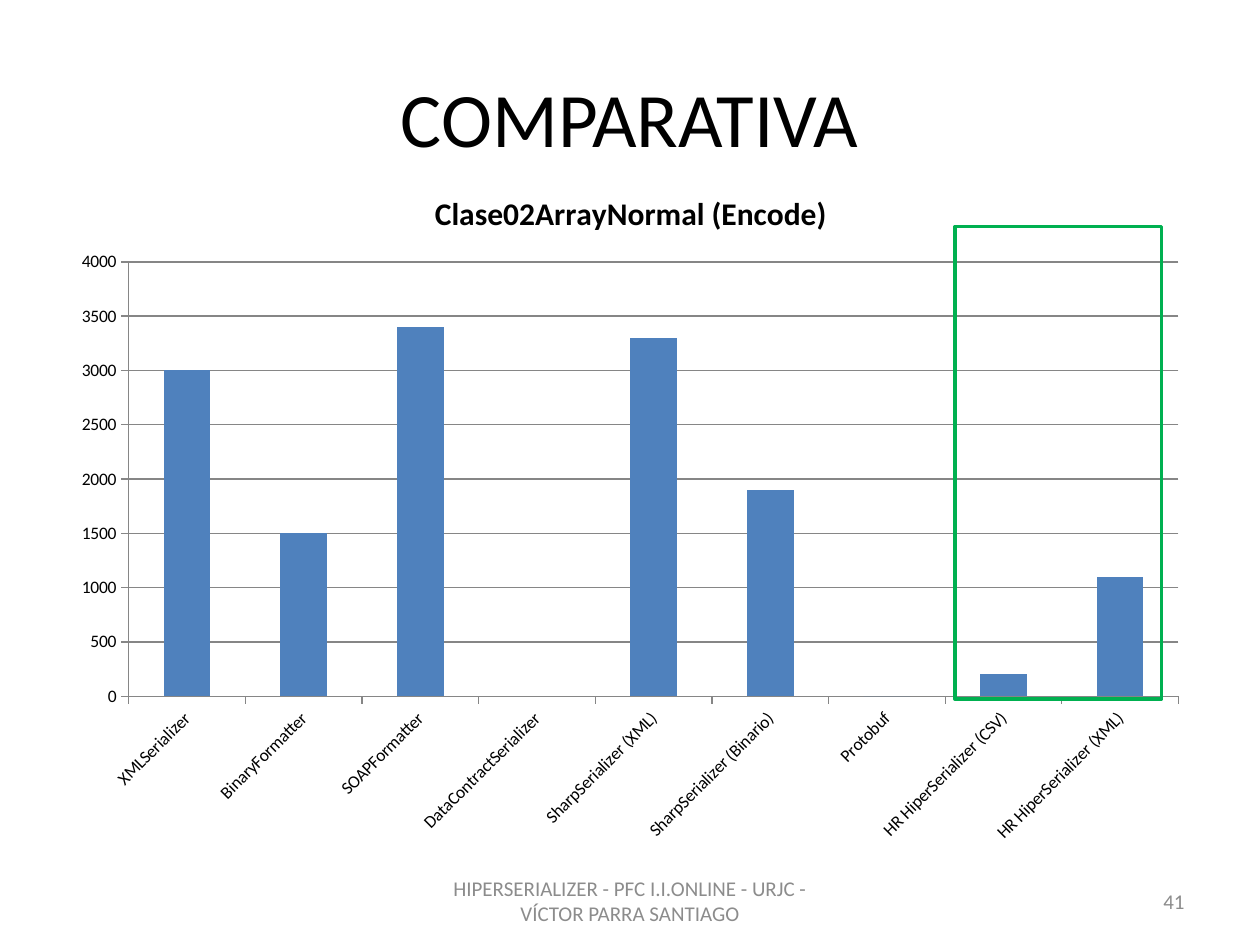
import pptx
import pptx.chart.data
import pptx.dml.color
import pptx.enum.chart
import pptx.enum.shapes
import pptx.enum.text
import pptx.oxml
import pptx.oxml.ns
import pptx.util

Pt = pptx.util.Pt
RGBColor = pptx.dml.color.RGBColor
Align = pptx.enum.text.PP_ALIGN

BLACK = RGBColor(0x00, 0x00, 0x00)
GRAY = RGBColor(0x8C, 0x8C, 0x8C)
AXIS_GRAY = RGBColor(0x86, 0x86, 0x86)
BLUE = RGBColor(0x4F, 0x81, 0xBD)
GREEN = RGBColor(0x00, 0xB0, 0x50)

ENCODE_TIMES = {
    "XMLSerializer": 3000,
    "BinaryFormatter": 1500,
    "SOAPFormatter": 3400,
    "DataContractSerializer": None,
    "SharpSerializer (XML)": 3300,
    "SharpSerializer (Binario)": 1900,
    "Protobuf": 0,
    "HR HiperSerializer (CSV)": 200,
    "HR HiperSerializer (XML)": 1100,
}
PLOT_AREA = {"x": 0.06, "y": 0.14, "w": 0.92, "h": 0.63}


class SlideBuilder:
    """Draws styled elements on the current slide, with lengths in points."""

    def __init__(self, slide, font_name="Calibri"):
        self.slide = slide
        self.font_name = font_name

    def style_font(self, font, size, color, bold=False):
        font.name = self.font_name
        font.size = Pt(size)
        font.bold = bold
        font.color.rgb = color

    def style_line(self, line, color, width):
        line.color.rgb = color
        line.width = Pt(width)

    def text(self, content, left, top, width, height, size, color, alignment):
        box = self.slide.shapes.add_textbox(Pt(left), Pt(top), Pt(width), Pt(height))
        frame = box.text_frame
        frame.word_wrap = True
        frame.vertical_anchor = pptx.enum.text.MSO_ANCHOR.MIDDLE
        paragraph = frame.paragraphs[0]
        paragraph.alignment = alignment
        run = paragraph.add_run()
        run.text = content
        self.style_font(run.font, size, color)

    def column_chart(self, title, values, left, top, width, height):
        data = pptx.chart.data.CategoryChartData()
        data.categories = list(values)
        data.add_series("Series 1", list(values.values()))
        chart = self.slide.shapes.add_chart(
            pptx.enum.chart.XL_CHART_TYPE.COLUMN_CLUSTERED,
            Pt(left), Pt(top), Pt(width), Pt(height), data,
        ).chart
        self.style_font(chart.font, 10, BLACK)
        chart.has_legend = False
        chart.has_title = True
        run = chart.chart_title.text_frame.paragraphs[0].add_run()
        run.text = title
        self.style_font(run.font, 18, BLACK, bold=True)
        chart.chart_title.include_in_layout = False

        plot = chart.plots[0]
        plot.vary_by_categories = False
        plot.gap_width = 150
        fill = plot.series[0].format.fill
        fill.solid()
        fill.fore_color.rgb = BLUE

        value_axis, category_axis = chart.value_axis, chart.category_axis
        value_axis.minimum_scale = 0
        value_axis.maximum_scale = 4000
        value_axis.major_unit = 500
        value_axis.has_major_gridlines = True
        self.style_line(value_axis.major_gridlines.format.line, AXIS_GRAY, 0.75)
        for axis in (value_axis, category_axis):
            axis.major_tick_mark = pptx.enum.chart.XL_TICK_MARK.OUTSIDE
            self.style_line(axis.format.line, AXIS_GRAY, 0.75)
            self.style_font(axis.tick_labels.font, 10, BLACK)
        self.rotate_labels(category_axis, -45)
        self.place_plot(chart)

    def rotate_labels(self, axis, degrees):
        body = axis._element.find(".//" + pptx.oxml.ns.qn("a:bodyPr"))
        body.set("rot", str(degrees * 60000))
        body.set("vert", "horz")

    def place_plot(self, chart):
        plot_area = chart._chartSpace.chart.plotArea
        for layout in plot_area.findall(pptx.oxml.ns.qn("c:layout")):
            plot_area.remove(layout)
        modes = '<c:layoutTarget val="inner"/><c:xMode val="edge"/><c:yMode val="edge"/>'
        sizes = "".join(f'<c:{key} val="{value}"/>' for key, value in PLOT_AREA.items())
        plot_area.insert(0, pptx.oxml.parse_xml(
            f'<c:layout {pptx.oxml.ns.nsdecls("c")}>'
            f"<c:manualLayout>{modes}{sizes}</c:manualLayout></c:layout>"
        ))

    def outline(self, left, top, width, height, color, line_width):
        shape = self.slide.shapes.add_shape(
            pptx.enum.shapes.MSO_SHAPE.RECTANGLE, Pt(left), Pt(top), Pt(width), Pt(height)
        )
        shape.shadow.inherit = False
        shape.fill.background()
        self.style_line(shape.line, color, line_width)


def main():
    presentation = pptx.Presentation()
    presentation.slide_width = Pt(720)
    presentation.slide_height = Pt(540)
    builder = SlideBuilder(presentation.slides.add_slide(presentation.slide_layouts[6]))
    builder.text("COMPARATIVA", 36, 21.6, 648, 90, 44, BLACK, Align.CENTER)
    builder.text(
        "HIPERSERIALIZER - PFC I.I.ONLINE - URJC - VÍCTOR PARRA SANTIAGO",
        246, 500.5, 228, 28.75, 12, GRAY, Align.CENTER,
    )
    builder.text("41", 516, 500.5, 168, 28.75, 12, GRAY, Align.RIGHT)
    builder.column_chart("Clase02ArrayNormal (Encode)", ENCODE_TIMES, 34.5, 94.5, 652, 394)
    builder.outline(545.75, 129.5, 118, 270, GREEN, 2)
    presentation.save("out.pptx")


if __name__ == "__main__":
    main()
